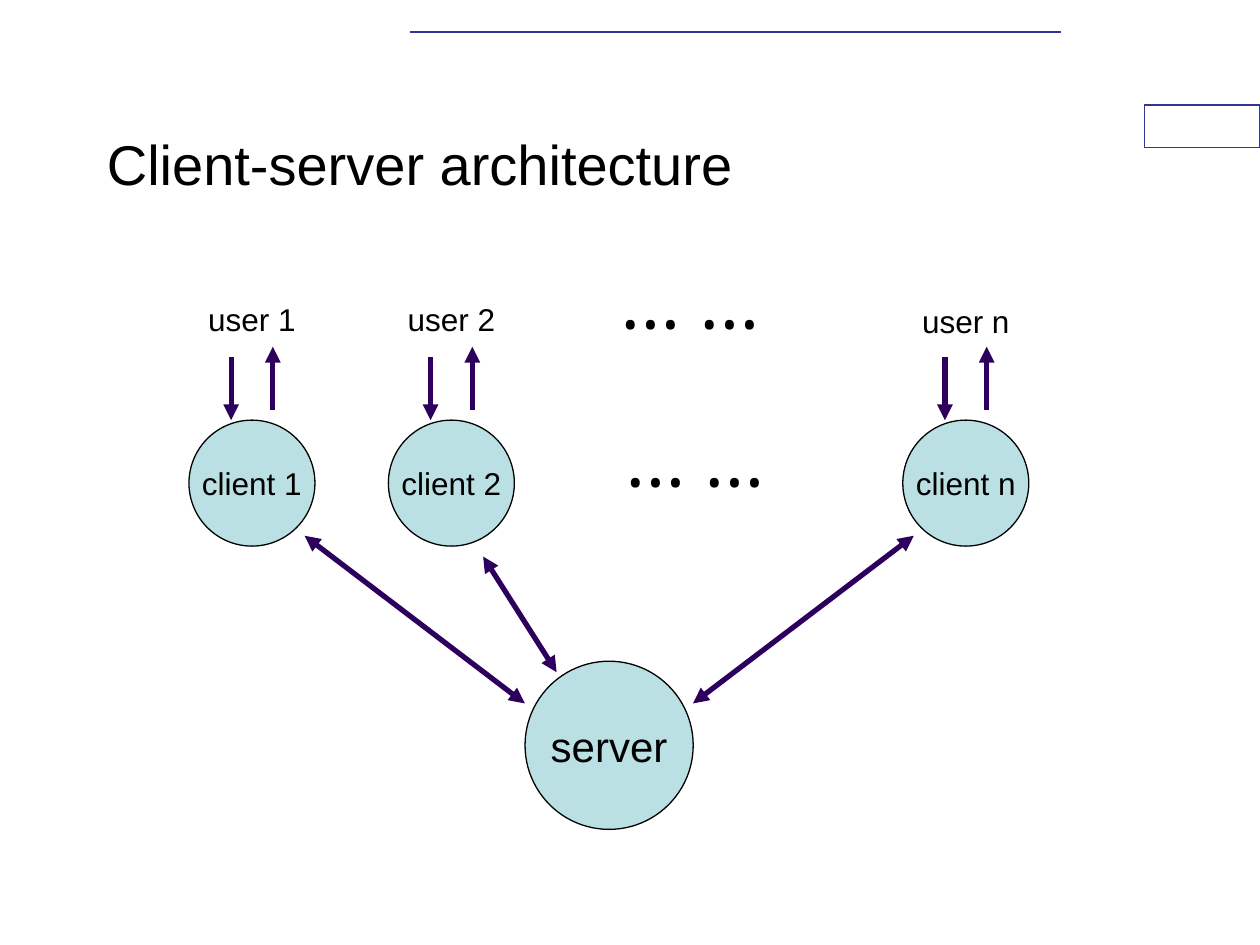
import pptx
import pptx.dml.color
import pptx.enum.shapes
import pptx.enum.text
import pptx.oxml
import pptx.oxml.ns
import pptx.util

Cm, Pt = pptx.util.Cm, pptx.util.Pt
RGB = pptx.dml.color.RGBColor
SHAPE = pptx.enum.shapes.MSO_SHAPE
ALIGN = pptx.enum.text.PP_ALIGN
ANCHOR = pptx.enum.text.MSO_ANCHOR
AUTO = pptx.enum.text.MSO_AUTO_SIZE


class Theme:
    text = RGB(0x00, 0x00, 0x00)
    paper = RGB(0xFF, 0xFF, 0xFF)
    node = RGB(0xBB, 0xE0, 0xE3)
    arrow = RGB(0x2E, 0x00, 0x5D)
    rule = RGB(0x33, 0x33, 0x99)
    font, dots_font = "Arial", "Cambria"
    title_size, server_size, label_size, dots_size = Pt(32), Pt(24), Pt(18), Pt(48)


def write(sp, text, size, font=Theme.font, align=ALIGN.CENTER, wrap=False):
    tf = sp.text_frame
    tf.text = text
    tf.word_wrap = wrap
    p = tf.paragraphs[0]
    p.alignment = align
    r = p.runs[0]
    r.font.size, r.font.name = size, font
    r.font.color.rgb = Theme.text
    return tf


def draw_line(start, end, color, width, ends=()):
    cx = s.shapes.add_connector(pptx.enum.shapes.MSO_CONNECTOR.STRAIGHT,
                                Cm(start[0]), Cm(start[1]), Cm(end[0]), Cm(end[1]))
    cx.line.color.rgb = color
    cx.line.width = Pt(width)
    ln = cx.line._get_or_add_ln()
    for tag in ends:
        pptx.oxml.ns.qn(tag)
        ln.append(pptx.oxml.parse_xml(
            f'<{tag} {pptx.oxml.ns.nsdecls("a")} type="triangle"/>'))
    cx._element.spPr.append(pptx.oxml.parse_xml(
        f'<a:effectLst {pptx.oxml.ns.nsdecls("a")}/>'))


prs = pptx.Presentation()
prs.slide_width, prs.slide_height = Cm(25.4), Cm(19.05)
s = prs.slides.add_slide(prs.slide_layouts[5])

# Decoration: box at the right edge and rule at the top
sp = s.shapes.add_shape(SHAPE.RECTANGLE, Cm(23.07), Cm(2.12), Cm(2.33), Cm(0.85))
sp.shadow.inherit = False
sp.fill.solid()
sp.fill.fore_color.rgb = Theme.paper
sp.line.color.rgb = Theme.rule
sp.line.width = Pt(0.75)
draw_line((8.26, 0.64), (21.38, 0.64), Theme.rule, 1)

# Title
title = s.shapes.title
title.left, title.top, title.width, title.height = Cm(1.9), Cm(1.69), Cm(19.05), Cm(3.18)
tf = write(title, "Client-server architecture", Theme.title_size,
           align=ALIGN.LEFT, wrap=True)
tf.vertical_anchor = ANCHOR.MIDDLE
tf.auto_size = AUTO.NONE

# Circles: name, centre x, top, diameter, text size
columns = [("1", 5.08, 5.92), ("2", 9.1, 5.92), ("n", 19.47, 5.97)]
circles = [(f"client {name}", x, 8.47, 2.54, Theme.label_size) for name, x, _ in columns]
circles.append(("server", 12.28, 13.33, 3.39, Theme.server_size))
for text, x, top, size, font_size in circles:
    sp = s.shapes.add_shape(SHAPE.OVAL, Cm(x - size / 2), Cm(top), Cm(size), Cm(size))
    sp.shadow.inherit = False
    sp.fill.solid()
    sp.fill.fore_color.rgb = Theme.node
    sp.line.color.rgb = Theme.text
    sp.line.width = Pt(0.75)
    write(sp, text, font_size).vertical_anchor = ANCHOR.MIDDLE

# Users, with an arrow down to the client and one back up
for name, x, top in columns:
    sp = s.shapes.add_textbox(Cm(x - 1.14), Cm(top), Cm(2.28), Cm(1.02))
    write(sp, f"user {name}", Theme.label_size).auto_size = AUTO.SHAPE_TO_FIT_TEXT
    for dx, start, end in [(-0.42, 7.2, 8.47), (0.42, 8.26, 6.99)]:
        draw_line((x + dx, start), (x + dx, end), Theme.arrow, 3, ["a:tailEnd"])

# Two-way arrows between the server and each client
for start, end in [((13.97, 14.18), (18.42, 10.8)),
                   ((10.58, 14.18), (6.14, 10.8)),
                   ((11.22, 13.55), (9.74, 11.22))]:
    draw_line(start, end, Theme.arrow, 3, ["a:headEnd", "a:tailEnd"])

# Ellipses for the clients and users left out
for x, y in [(12.28, 8.89), (12.18, 5.71)]:
    sp = s.shapes.add_textbox(Cm(x), Cm(y), Cm(4.32), Cm(1.27))
    tf = write(sp, "… …", Theme.dots_size, Theme.dots_font, ALIGN.LEFT)
    tf.auto_size = AUTO.SHAPE_TO_FIT_TEXT
    tf.paragraphs[0].line_spacing = 0.5

prs.save("out.pptx")
